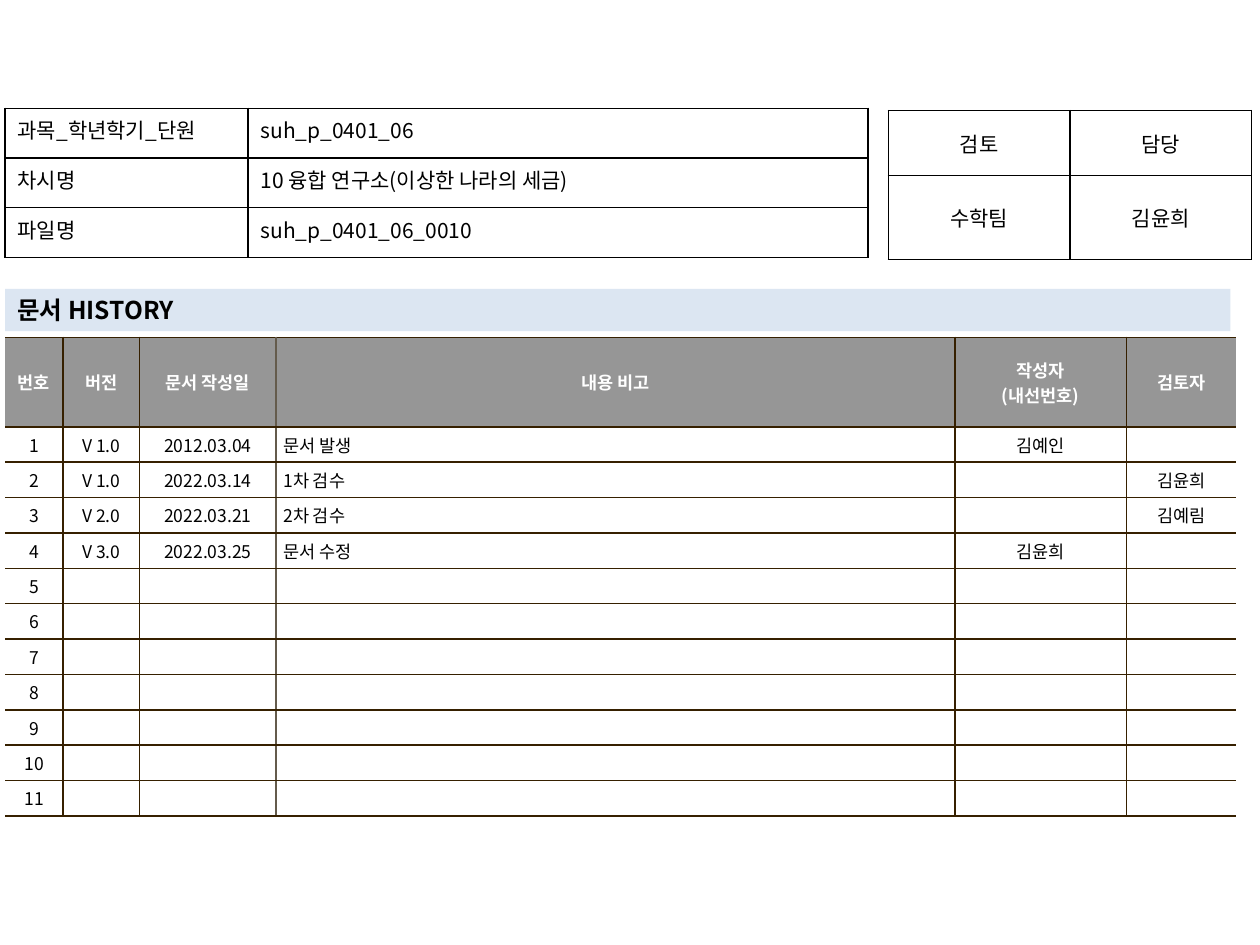
from lxml import etree
from pptx import Presentation
from pptx.dml.color import RGBColor
from pptx.enum.shapes import MSO_SHAPE
from pptx.enum.text import MSO_ANCHOR, PP_ALIGN
from pptx.oxml.ns import qn
from pptx.util import Pt

LEFT, CENTER, JUSTIFY = PP_ALIGN.LEFT, PP_ALIGN.CENTER, PP_ALIGN.JUSTIFY
TOP, MIDDLE = MSO_ANCHOR.TOP, MSO_ANCHOR.MIDDLE
RECTANGLE = MSO_SHAPE.RECTANGLE
FONT = "Noto Sans CJK KR"
COLORS = {"ink": "000000", "white": "FFFFFF", "header": "969696",
          "band": "DCE6F2", "rule": "362000", "soft_rule": "645B4C"}


def style_text(frame, size, color, bold, align):
    for paragraph in frame.paragraphs:
        paragraph.alignment = align
        font = paragraph.font
        font.name, font.size, font.bold = FONT, Pt(size), bold
        font.color.rgb = RGBColor.from_string(COLORS[color])
        props = paragraph._p.get_or_add_pPr().find(qn("a:defRPr"))
        east_asian = etree.SubElement(props, qn("a:ea"))
        east_asian.set("typeface", FONT)
        if not paragraph.runs:
            end = etree.SubElement(paragraph._p, qn("a:endParaRPr"))
            end.set("sz", str(size * 100))


def style_cell(cell, fill, borders, margins, anchor):
    cell.margin_left = cell.margin_right = Pt(margins[0])
    cell.margin_top = cell.margin_bottom = Pt(margins[1])
    cell.vertical_anchor = anchor
    props = cell._tc.get_or_add_tcPr()
    for side, color in zip("LRTB", borders):
        line = etree.SubElement(props, qn(f"a:ln{side}"), w=str(Pt(1)))
        if color:
            solid = etree.SubElement(line, qn("a:solidFill"))
            etree.SubElement(solid, qn("a:srgbClr"), val=COLORS[color])
        else:
            etree.SubElement(line, qn("a:noFill"))
    if fill:
        cell.fill.solid()
        cell.fill.fore_color.rgb = RGBColor.from_string(COLORS[fill])
    else:
        cell.fill.background()


deck = Presentation()
deck.slide_width, deck.slide_height = Pt(720), Pt(540)
slide = deck.slides.add_slide(deck.slide_layouts[6])

history = [
    ["번호", "버전", "문서 작성일", "내용 비고", "작성자\n(내선번호)", "검토자"],
    ["1", "V 1.0", "2012.03.04", "문서 발생", "김예인", ""],
    ["2", "V 1.0", "2022.03.14", "1차 검수", "", "김윤희"],
    ["3", "V 2.0", "2022.03.21", "2차 검수", "", "김예림"],
    ["4", "V 3.0", "2022.03.25", "문서 수정", "김윤희", ""],
] + [[str(number)] + [""] * 5 for number in range(5, 12)]
approval = [["검토", "담당"], ["수학팀", "김윤희"]]
document = [["과목_학년학기_단원 ", "suh_p_0401_06"],
            ["차시명", "10 융합 연구소(이상한 나라의 세금)"],
            ["파일명", "suh_p_0401_06_0010"]]

history_rules = [None, "rule", "rule", "soft_rule", "rule", "rule", None]
history_aligns = [CENTER, CENTER, CENTER, LEFT, CENTER, CENTER]
tables = [
    (history, 2.9, 192.8, [33.1, 43.9, 77.8, 388.1, 97.9, 62.6], [51.1] + [20.1] * 11,
     10, history_rules, "rule", history_aligns, (4.3, 2.9), MIDDLE),
    (approval, 507.6, 63.2, [103.8] * 2, [37.2, 47.8],
     12, ["ink"] * 3, "ink", [CENTER] * 2, (7.2, 3.6), MIDDLE),
    (document, 2.9, 61.9, [138.8, 354.4], [28.4] * 3,
     12, ["ink"] * 3, "ink", [JUSTIFY, LEFT], (7.2, 3.6), TOP),
]

for (content, left, top, widths, heights, size, rules, row_rule,
     aligns, margins, anchor) in tables:
    table = slide.shapes.add_table(len(heights), len(widths), Pt(left), Pt(top),
                                   Pt(sum(widths)), Pt(sum(heights))).table
    table.first_row = table.horz_banding = False
    for column, width in zip(table.columns, widths):
        column.width = Pt(width)
    for r, (row, height) in enumerate(zip(table.rows, heights)):
        row.height = Pt(height)
        for c, cell in enumerate(row.cells):
            heading = content is history and r == 0
            fill = "header" if heading else "white" if content is history else None
            cell.text = content[r][c]
            style_cell(cell, fill, (rules[c], rules[c + 1], row_rule, row_rule),
                       margins, anchor)
            style_text(cell.text_frame, size, "white" if heading else "ink", heading,
                       CENTER if heading else aligns[c])

title = slide.shapes.add_shape(RECTANGLE, Pt(2.9), Pt(165.1), Pt(700.2), Pt(24.2))
title.shadow.inherit = False
title.fill.solid()
title.fill.fore_color.rgb = RGBColor.from_string(COLORS["band"])
title.line.fill.background()
title.text_frame.text = "문서 HISTORY"
title.text_frame.vertical_anchor = MIDDLE
title.text_frame.margin_top = title.text_frame.margin_bottom = 0
style_text(title.text_frame, 14, "ink", True, LEFT)

deck.save("out.pptx")
